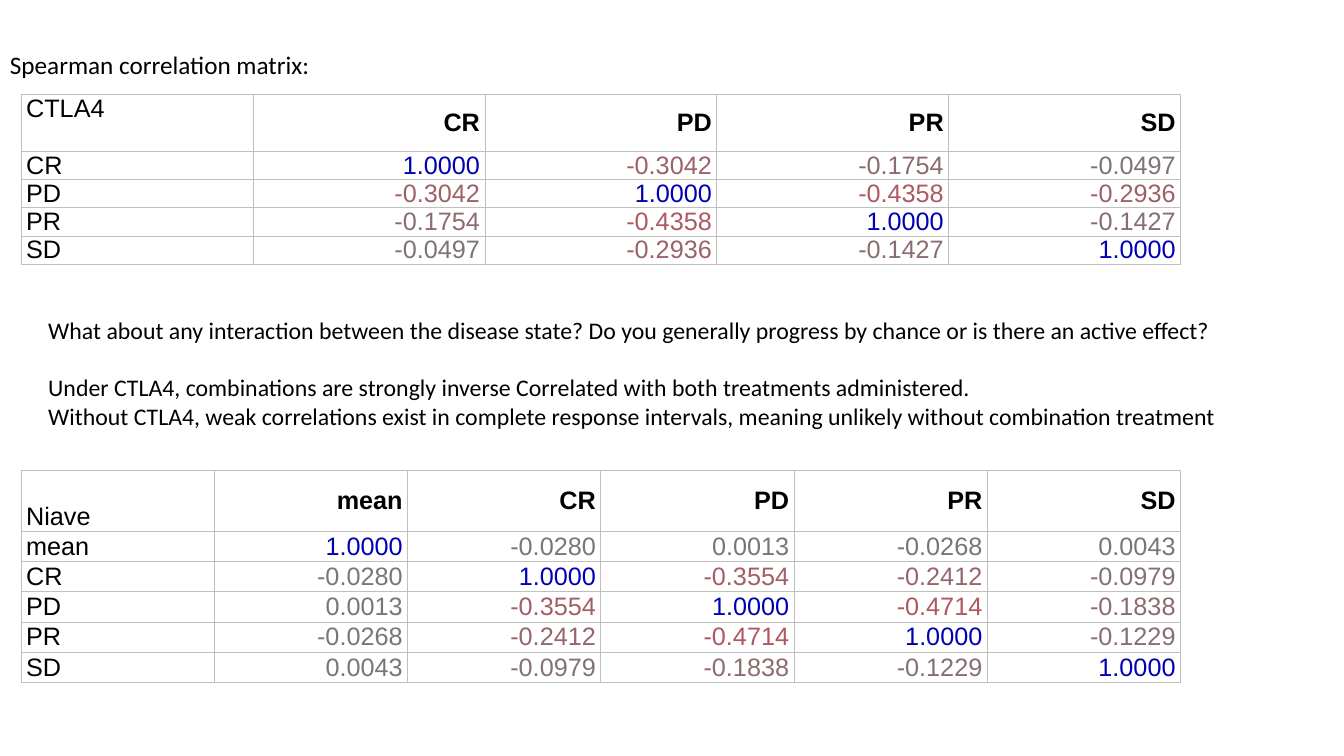
from lxml import etree
from pptx import Presentation
from pptx.dml.color import RGBColor
from pptx.enum import text
from pptx.oxml import ns
from pptx.util import Inches, Pt

HEADING = ["Spearman correlation matrix:"]
COMMENTS = [
    "What about any interaction between the disease state? Do you generally progress by chance or is there an active effect?",
    "Under CTLA4, combinations are strongly inverse Correlated with both treatments administered.",
    "Without CTLA4, weak correlations exist in complete response intervals, meaning unlikely without combination treatment",
]
CTLA4 = {
    "CR": [1, -0.3042, -0.1754, -0.0497],
    "PD": [-0.3042, 1, -0.4358, -0.2936],
    "PR": [-0.1754, -0.4358, 1, -0.1427],
    "SD": [-0.0497, -0.2936, -0.1427, 1],
}
NAIVE = {
    "mean": [1, -0.0280, 0.0013, -0.0268, 0.0043],
    "CR": [-0.0280, 1, -0.3554, -0.2412, -0.0979],
    "PD": [0.0013, -0.3554, 1, -0.4714, -0.1838],
    "PR": [-0.0268, -0.2412, -0.4714, 1, -0.1229],
    "SD": [0.0043, -0.0979, -0.1838, -0.1229, 1],
}
BLACK, BORDER = "000000", "BFBFBF"
NEGATIVE, NEUTRAL, POSITIVE = "F03246", "787878", "0000B4"
TABLE_LEFT, TABLE_WIDTH = 0.21, 11.5


def rgb(value):
    return RGBColor.from_string(value)


def scale_color(value):
    """Blend from the neutral grey towards the colour of the value's sign."""
    end = rgb(POSITIVE if value > 0 else NEGATIVE)
    mix = [int(a + (b - a) * abs(value)) for a, b in zip(rgb(NEUTRAL), end)]
    return "{:02X}{:02X}{:02X}".format(*mix)


def style(p, font, size, color, bold=False):
    for r in p.runs:
        r.font.name, r.font.size, r.font.bold = font, Pt(size), bold
        r.font.color.rgb = rgb(color)


def add_borders(cell):
    props = cell._tc.get_or_add_tcPr()
    for i, side in enumerate(("lnL", "lnR", "lnT", "lnB")):
        line = etree.Element(ns.qn("a:" + side), w=str(Pt(0.75)))
        fill = etree.SubElement(line, ns.qn("a:solidFill"))
        etree.SubElement(fill, ns.qn("a:srgbClr"), val=BORDER)
        props.insert(i, line)


def fill_cell(cell, label, color=BLACK, bold=False, right=True,
              anchor=text.MSO_ANCHOR.MIDDLE):
    cell.text = label
    cell.margin_left = cell.margin_right = Inches(0.05)
    cell.margin_top = cell.margin_bottom = 0
    cell.vertical_anchor = anchor
    p = cell.text_frame.paragraphs[0]
    p.alignment = text.PP_ALIGN.RIGHT if right else text.PP_ALIGN.LEFT
    style(p, "Arial", 18, color, bold)
    cell.fill.background()
    add_borders(cell)


def add_matrix(s, title, matrix, top, row_height, title_anchor):
    """Correlation table whose header row is two text rows high."""
    n = len(matrix) + 1
    table = s.shapes.add_table(
        n, n, Inches(TABLE_LEFT), Inches(top), Inches(TABLE_WIDTH),
        Inches(row_height * (n + 1))).table
    table.first_row = table.horz_banding = False
    for col in table.columns:
        col.width = Inches(TABLE_WIDTH / n)
    for i, row in enumerate(table.rows):
        row.height = Inches(row_height * (1 if i else 2))

    fill_cell(table.cell(0, 0), title, right=False, anchor=title_anchor)
    for i, (name, values) in enumerate(matrix.items(), 1):
        fill_cell(table.cell(0, i), name, bold=True)
        fill_cell(table.cell(i, 0), name, right=False)
        for j, value in enumerate(values, 1):
            fill_cell(table.cell(i, j), f"{value:.4f}", scale_color(value))


def add_text(s, lines, left, top, width, height, size):
    tf = s.shapes.add_textbox(*map(Inches, (left, top, width, height))).text_frame
    tf.text = "\n".join(lines)
    tf.word_wrap = False
    tf.auto_size = text.MSO_AUTO_SIZE.SHAPE_TO_FIT_TEXT
    for p in tf.paragraphs:
        style(p, "Calibri", size, BLACK)
    return tf


prs = Presentation()
prs.slide_width, prs.slide_height = Inches(13.33), Inches(7.5)
s = prs.slides.add_slide(prs.slide_layouts[6])

add_matrix(s, "CTLA4", CTLA4, 0.94, 0.28, text.MSO_ANCHOR.TOP)
add_text(s, HEADING, 0, 0.44, 3.26, 0.4, 18)
comments = add_text(s, COMMENTS, 0.38, 3.08, 11.88, 1.25, 17)
comments.paragraphs[1].space_before = Pt(20.75)
add_matrix(s, "Niave", NAIVE, 4.67, 0.3, text.MSO_ANCHOR.BOTTOM)

prs.save("out.pptx")
